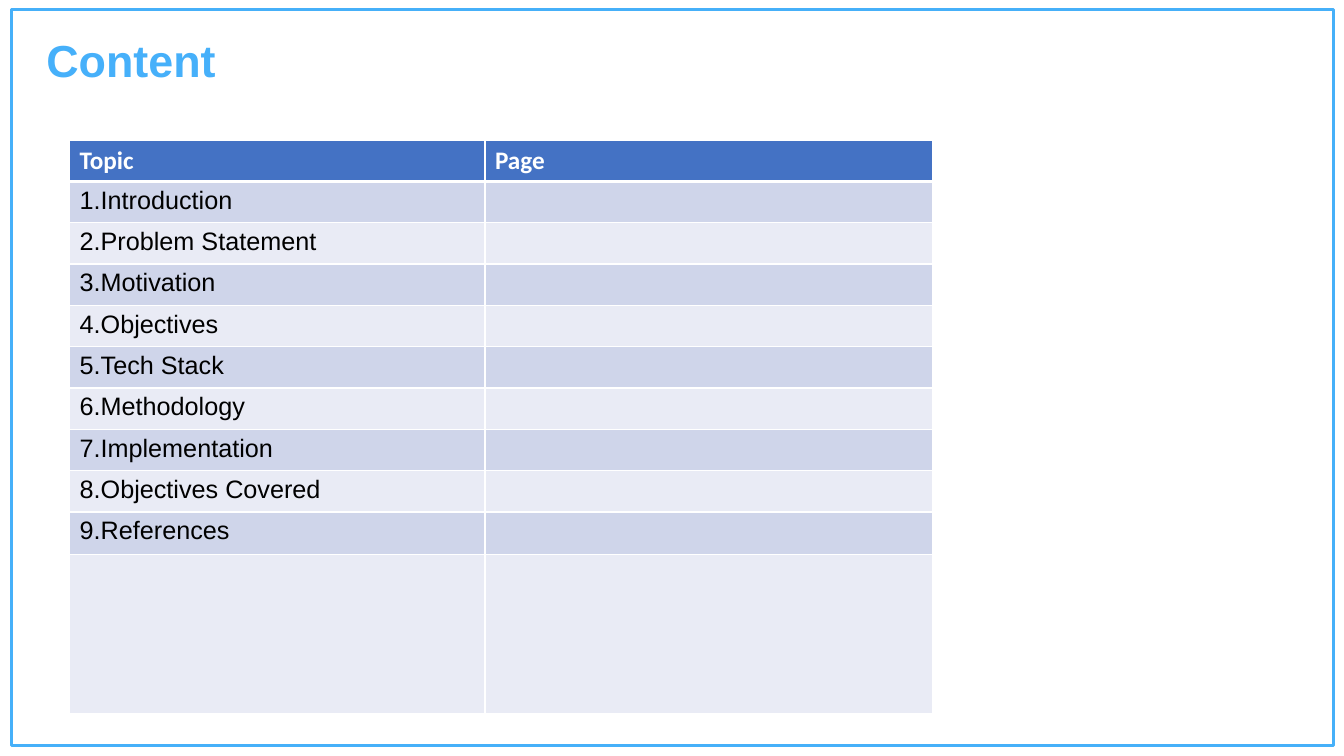
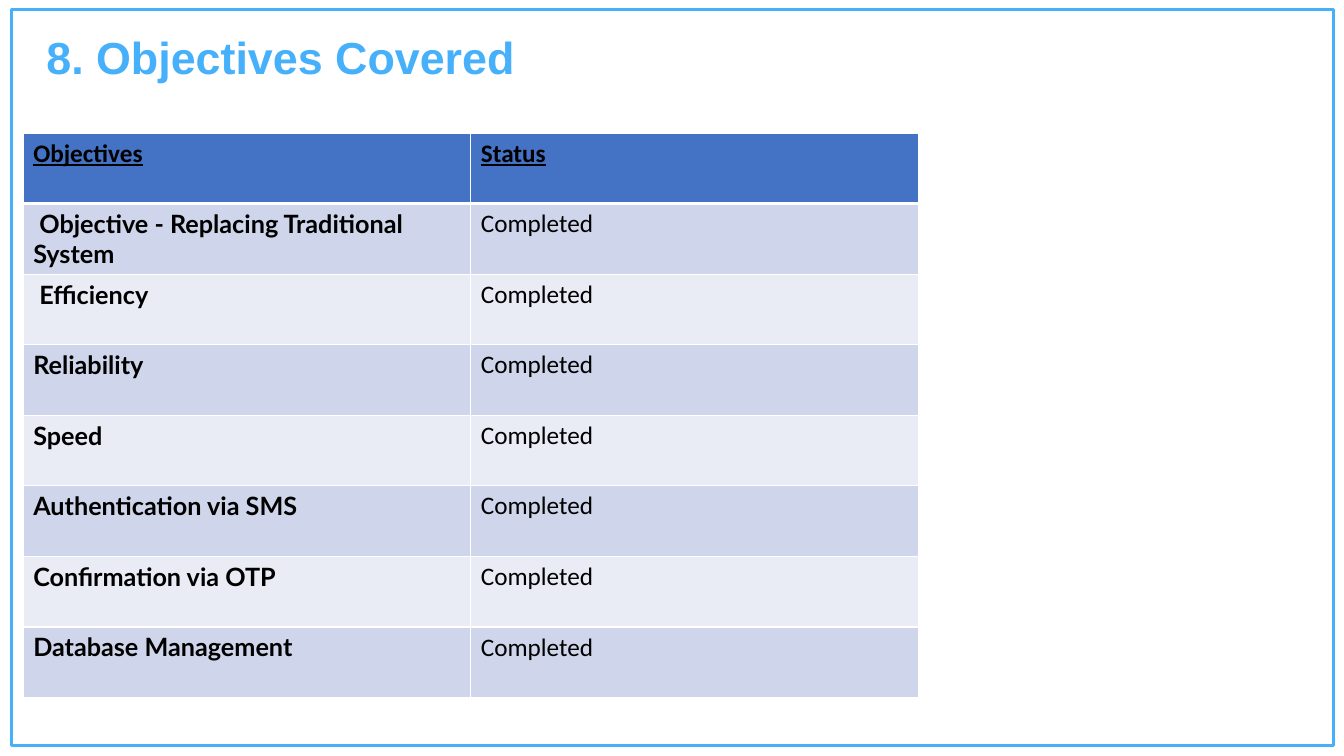
from dataclasses import dataclass

from lxml.etree import SubElement
from pptx import Presentation
from pptx.dml.color import RGBColor
from pptx.enum.shapes import MSO_SHAPE
from pptx.enum.text import MSO_ANCHOR, MSO_AUTO_SIZE, PP_ALIGN
from pptx.oxml.ns import qn
from pptx.util import Inches, Pt

FRAME, TITLE = "46B0F9", "46B0FA"
HEAD, BANDS = "4472C4", ("E9EBF5", "CFD5EA")
WHITE, BLACK = "FFFFFF", "000000"


@dataclass
class Style:
    font: str
    color: str = BLACK
    bold: bool = False
    under: bool = False
    size: int = 18


@dataclass
class Grid:
    left: float
    top: float
    cols: list[float]
    heights: list[float]
    rows: list[tuple[str, str]]
    head: Style
    body: tuple[Style, Style]


@dataclass
class Page:
    title: str
    top: float
    grid: Grid


topics = ["Introduction", "Problem Statement", "Motivation", "Objectives",
          "Tech Stack", "Methodology", "Implementation",
          "Objectives Covered", "References"]
goals = [" Objective - Replacing Traditional System", " Efficiency",
         "Reliability", "Speed", "Authentication via SMS",
         "Confirmation via OTP", "Database Management"]

PAGES = [
    Page("Content", 0.27, Grid(
        0.69, 1.39, [4.12, 4.44], [0.41] * 9 + [0.42, 1.58],
        [("Topic", "Page")]
        + [(f"{n}.{topic}", "") for n, topic in enumerate(topics, 1)]
        + [("", "")],
        Style("Calibri", WHITE, True), (Style("Arial"), Style("Arial")))),
    Page("8. Objectives Covered", 0.24, Grid(
        0.23, 1.32, [4.44, 4.44], [0.7] * 8,
        [("Objectives", "Status")] + [(goal, "Completed") for goal in goals],
        Style("Calibri", BLACK, True, True),
        (Style("Lato", bold=True), Style("Calibri")))),
]


def rgb(code: str) -> RGBColor:
    return RGBColor.from_string(code)


def format_text(frame, style: Style) -> None:
    for par in frame.paragraphs:
        for run in par.runs:
            font = run.font
            font.name, font.size = style.font, Pt(style.size)
            font.bold, font.underline = style.bold, style.under
            font.color.rgb = rgb(style.color)


def add_frame(slide, layout) -> None:
    """Draw the outline and move it to the layout all slides share."""
    box = slide.shapes.add_shape(MSO_SHAPE.RECTANGLE, Inches(0.11),
                                 Inches(0.09), Inches(13.12), Inches(7.31))
    box.shadow.inherit = False
    box.fill.background()
    box.line.color.rgb = rgb(FRAME)
    box.line.width = Pt(2.25)
    layout.shapes.element.append(box.element)


def set_title(slide, text: str, top: float) -> None:
    title = slide.shapes.title
    title.left, title.top = Inches(0.36), Inches(top)
    title.width, title.height = Inches(8.24), Inches(0.64)
    frame = title.text_frame
    frame.text = text
    frame.word_wrap = True
    frame.auto_size = MSO_AUTO_SIZE.NONE
    frame.vertical_anchor = MSO_ANCHOR.TOP
    frame.paragraphs[0].alignment = PP_ALIGN.LEFT
    format_text(frame, Style("Arial", TITLE, True, size=32))


def set_edges(cell, base: float) -> None:
    """Give a cell white borders; base is the width of the lower one."""
    props = cell._tc.get_or_add_tcPr()
    for side, width in (("L", 1), ("R", 1), ("T", 1), ("B", base)):
        line = SubElement(props, qn(f"a:ln{side}"), w=str(Pt(width)))
        fill = SubElement(line, qn("a:solidFill"))
        SubElement(fill, qn("a:srgbClr"), val=WHITE)


def add_grid(slide, grid: Grid) -> None:
    table = slide.shapes.add_table(
        len(grid.rows), len(grid.cols), Inches(grid.left), Inches(grid.top),
        Inches(sum(grid.cols)), Inches(sum(grid.heights))).table
    for col, width in zip(table.columns, grid.cols):
        col.width = Inches(width)
    for row, height in zip(table.rows, grid.heights):
        row.height = Inches(height)
    for r, texts in enumerate(grid.rows):
        for c, text in enumerate(texts):
            cell = table.cell(r, c)
            cell.text_frame.text = text
            format_text(cell.text_frame, grid.body[c] if r else grid.head)
            # Borders go before the fill in the cell properties
            set_edges(cell, 1 if r else 3)
            cell.fill.solid()
            cell.fill.fore_color.rgb = rgb(BANDS[r % 2] if r else HEAD)


def main() -> None:
    deck = Presentation()
    deck.slide_width, deck.slide_height = Inches(13.33), Inches(7.5)
    layout = deck.slide_layouts.get_by_name("Title Only")
    for n, page in enumerate(PAGES):
        slide = deck.slides.add_slide(layout)
        if n == 0:
            add_frame(slide, layout)
        set_title(slide, page.title, page.top)
        add_grid(slide, page.grid)
    deck.save("out.pptx")


if __name__ == "__main__":
    main()
